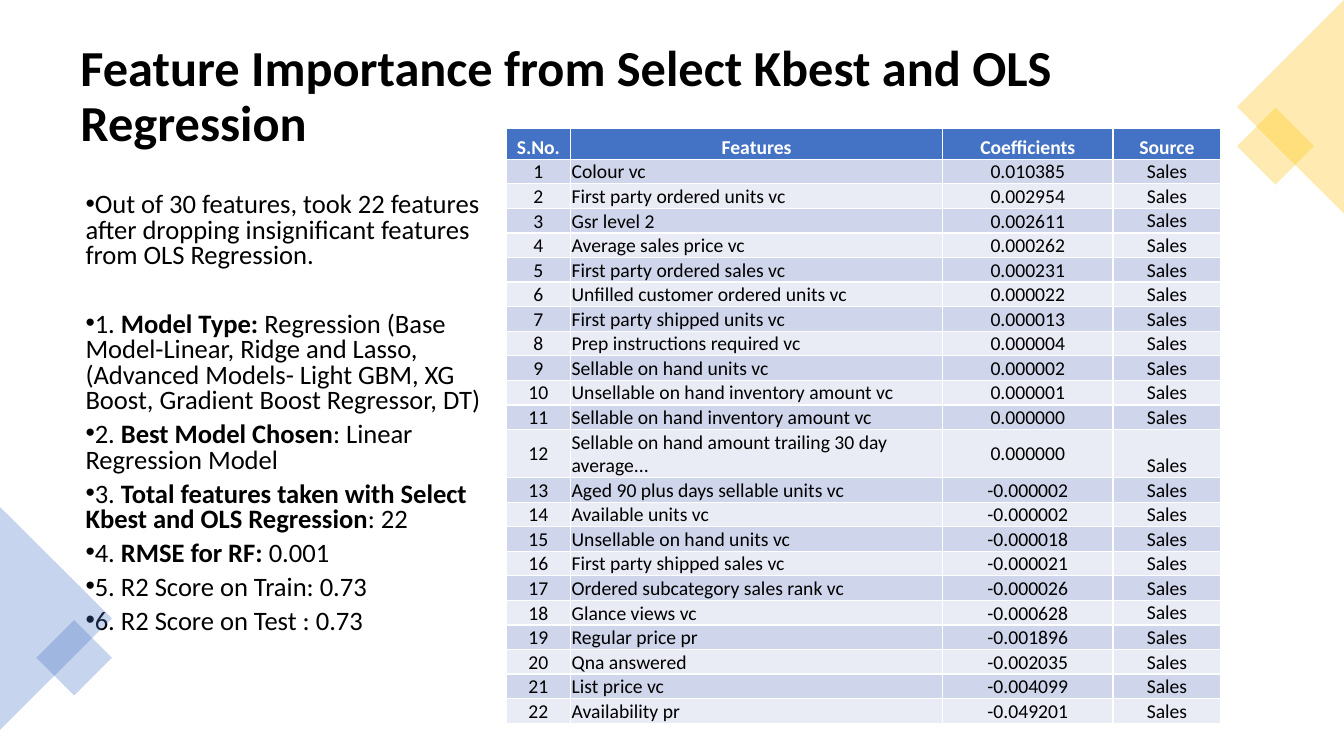
"""Build the feature importance slide with its findings and coefficient table."""
from lxml import etree
from pptx import Presentation
from pptx.dml.color import RGBColor
from pptx.enum import shapes, text
from pptx.oxml.ns import qn
from pptx.util import Inches, Pt

COLOURS = {"ink": "000000", "white": "FFFFFF", "blue": "4472C4",
           "gold": "FFC000", "odd": "CFD5EA", "even": "E9EBF5"}
FONT = "Calibri"
TITLE = "Feature Importance from Select Kbest and OLS Regression"
FINDINGS = [
    [("Out of 30 features, took 22 features after dropping insignificant "
      "features from OLS Regression.", False)],
    [("1. ", False), ("Model Type: ", True),
     ("Regression (Base Model-Linear, Ridge and Lasso, (Advanced Models- "
      "Light GBM, XG Boost, Gradient Boost Regressor, DT)", False)],
    [("2. ", False), ("Best Model Chosen", True),
     (": Linear Regression Model", False)],
    [("3. ", False),
     ("Total features taken with Select Kbest and OLS Regression", True),
     (": 22", False)],
    [("4. ", False), ("RMSE for RF: ", True), ("0.001", False)],
    [("5. R2 Score on Train: 0.73", False)],
    [("6. R2 Score on Test : 0.73", False)],
]
HEADINGS = ("S.No.", "Features", "Coefficients", "Source")
FEATURES = [
    ("Colour vc", "0.010385"),
    ("First party ordered units vc", "0.002954"),
    ("Gsr level 2", "0.002611"),
    ("Average sales price vc", "0.000262"),
    ("First party ordered sales vc", "0.000231"),
    ("Unfilled customer ordered units vc", "0.000022"),
    ("First party shipped units vc", "0.000013"),
    ("Prep instructions required vc", "0.000004"),
    ("Sellable on hand units vc", "0.000002"),
    ("Unsellable on hand inventory amount vc", "0.000001"),
    ("Sellable on hand inventory amount vc", "0.000000"),
    ("Sellable on hand amount trailing 30 day average...", "0.000000"),
    ("Aged 90 plus days sellable units vc", "-0.000002"),
    ("Available units vc", "-0.000002"),
    ("Unsellable on hand units vc", "-0.000018"),
    ("First party shipped sales vc", "-0.000021"),
    ("Ordered subcategory sales rank vc", "-0.000026"),
    ("Glance views vc", "-0.000628"),
    ("Regular price pr", "-0.001896"),
    ("Qna answered", "-0.002035"),
    ("List price vc", "-0.004099"),
    ("Availability pr", "-0.049201"),
]
SOURCE = "Sales"
COLUMN_WIDTHS = (0.64, 3.69, 1.69, 1.07)
HEADER_HEIGHT, ROW_HEIGHT = 0.31, 0.22
TRIANGLE = shapes.MSO_SHAPE.ISOSCELES_TRIANGLE
SQUARE = shapes.MSO_SHAPE.RECTANGLE
ORNAMENTS = [
    ("blue", [(TRIANGLE, -0.55, 5.58, 2.21, 1.11, 90),
              (SQUARE, 0.47, 6.26, 0.53, 0.53, 45)]),
    ("gold", [(SQUARE, 12.38, 1.18, 0.54, 0.54, 45),
              (TRIANGLE, 11.74, 0.53, 2.12, 1.06, 270)]),
]
MIDDLE, BOTTOM = text.MSO_ANCHOR.MIDDLE, text.MSO_ANCHOR.BOTTOM
LEFT, CENTER = text.PP_ALIGN.LEFT, text.PP_ALIGN.CENTER


def colour(name):
    return RGBColor.from_string(COLOURS[name])


def write(para, words, size=14, bold=False, ink="ink", align=LEFT, spacing=None):
    para.alignment = align
    if spacing:
        para.line_spacing = spacing
    span = para.add_run()
    span.text = words
    span.font.name = FONT
    span.font.size = Pt(size)
    span.font.bold = bold
    span.font.color.rgb = colour(ink)


def add_box(page, left, top, width, height):
    box = page.shapes.add_textbox(*map(Inches, (left, top, width, height)))
    box.text_frame.word_wrap = True
    return box.text_frame


def add_title(page):
    frame = add_box(page, 0.7, 0.35, 11.93, 1.24)
    frame.vertical_anchor = MIDDLE
    write(frame.paragraphs[0], TITLE, size=36, bold=True, spacing=0.9)


def add_findings(page):
    frame = add_box(page, 0.75, 1.87, 4.38, 4.81)
    for index, finding in enumerate(FINDINGS):
        para = frame.add_paragraph() if index else frame.paragraphs[0]
        for words, bold in finding:
            write(para, words, size=19, bold=bold, spacing=0.8)
        para.space_after = Pt(6 if index else 30.5)
        layout = para._p.get_or_add_pPr()
        layout.set("marL", "0")
        layout.set("indent", str(-Inches(0.25)))
        etree.SubElement(layout, qn("a:buFont")).set("typeface", "Arial")
        etree.SubElement(layout, qn("a:buChar")).set("char", "•")


def add_ornaments(page):
    for tint, parts in ORNAMENTS:
        group = page.shapes.add_group_shape()
        for kind, left, top, width, height, turn in parts:
            part = group.shapes.add_shape(
                kind, *map(Inches, (left, top, width, height)))
            part.rotation = turn
            part.shadow.inherit = False
            part.line.fill.background()
            part.fill.solid()
            part.fill.fore_color.rgb = colour(tint)
            tone = part._element.spPr.find(qn("a:solidFill"))[0]
            etree.SubElement(tone, qn("a:alpha")).set("val", "30000")


def add_features(page):
    rows = [HEADINGS] + [(str(number), name, value, SOURCE)
                         for number, (name, value) in enumerate(FEATURES, 1)]
    height = HEADER_HEIGHT + ROW_HEIGHT * len(FEATURES)
    table = page.shapes.add_table(
        len(rows), len(HEADINGS), Inches(5.02), Inches(1.27),
        Inches(sum(COLUMN_WIDTHS)), Inches(height)).table
    for column, width in zip(table.columns, COLUMN_WIDTHS):
        column.width = Inches(width)
    for r, values in enumerate(rows):
        header = r == 0
        table.rows[r].height = Inches(HEADER_HEIGHT if header else ROW_HEIGHT)
        band = "blue" if header else "odd" if r % 2 else "even"
        for c, value in enumerate(values):
            cell = table.cell(r, c)
            cell.fill.solid()
            cell.fill.fore_color.rgb = colour(band)
            cell.margin_left = cell.margin_right = cell.margin_top = Inches(0.01)
            cell.margin_bottom = 0
            cell.vertical_anchor = BOTTOM if header or c == 3 else MIDDLE
            write(cell.text_frame.paragraphs[0], value, bold=header,
                  ink="white" if header else "ink",
                  align=LEFT if c == 1 and not header else CENTER)


def main():
    deck = Presentation()
    deck.slide_width, deck.slide_height = Inches(13.33), Inches(7.5)
    page = deck.slides.add_slide(deck.slide_layouts[6])
    add_title(page)
    add_findings(page)
    add_ornaments(page)
    add_features(page)
    deck.save("out.pptx")


if __name__ == "__main__":
    main()
